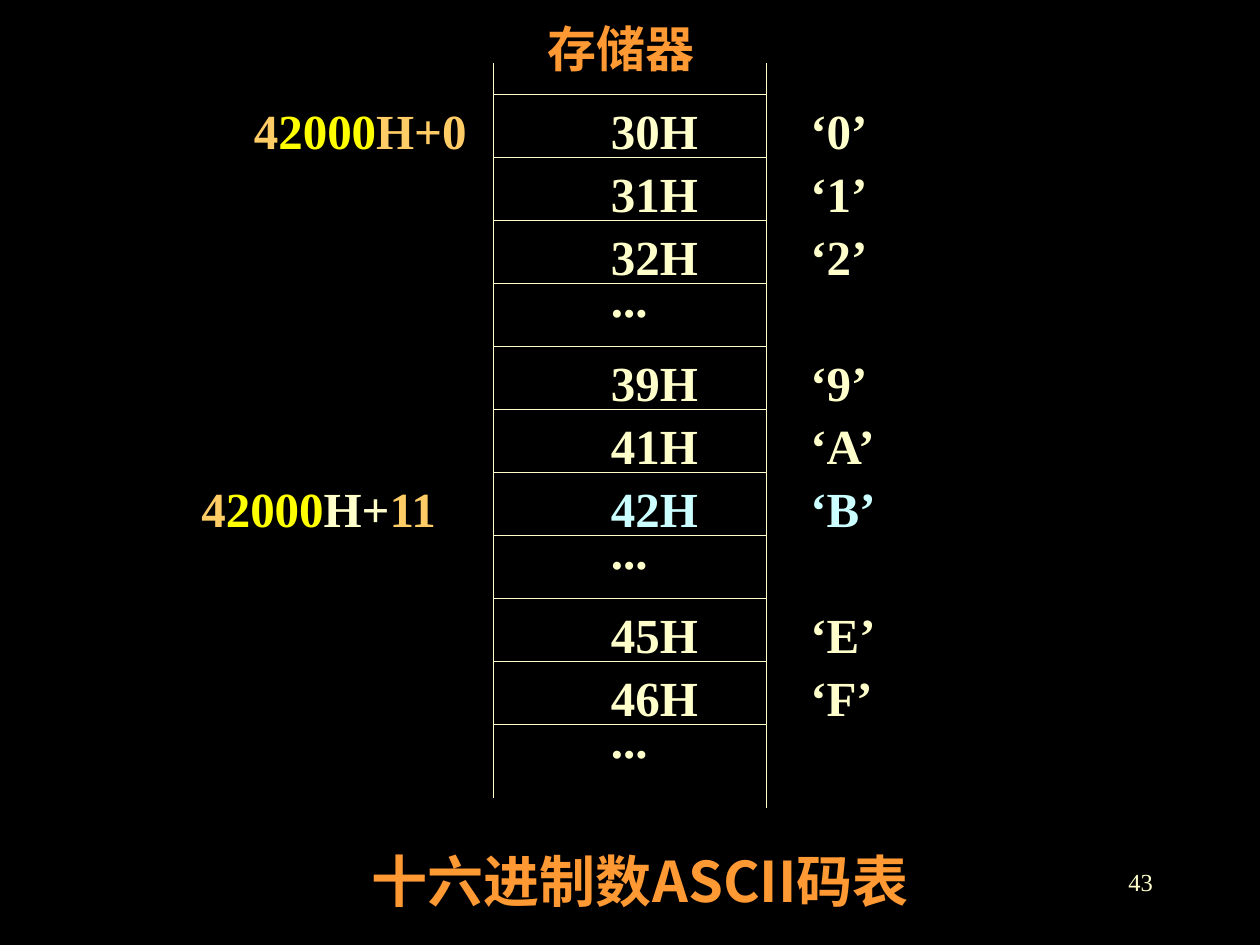
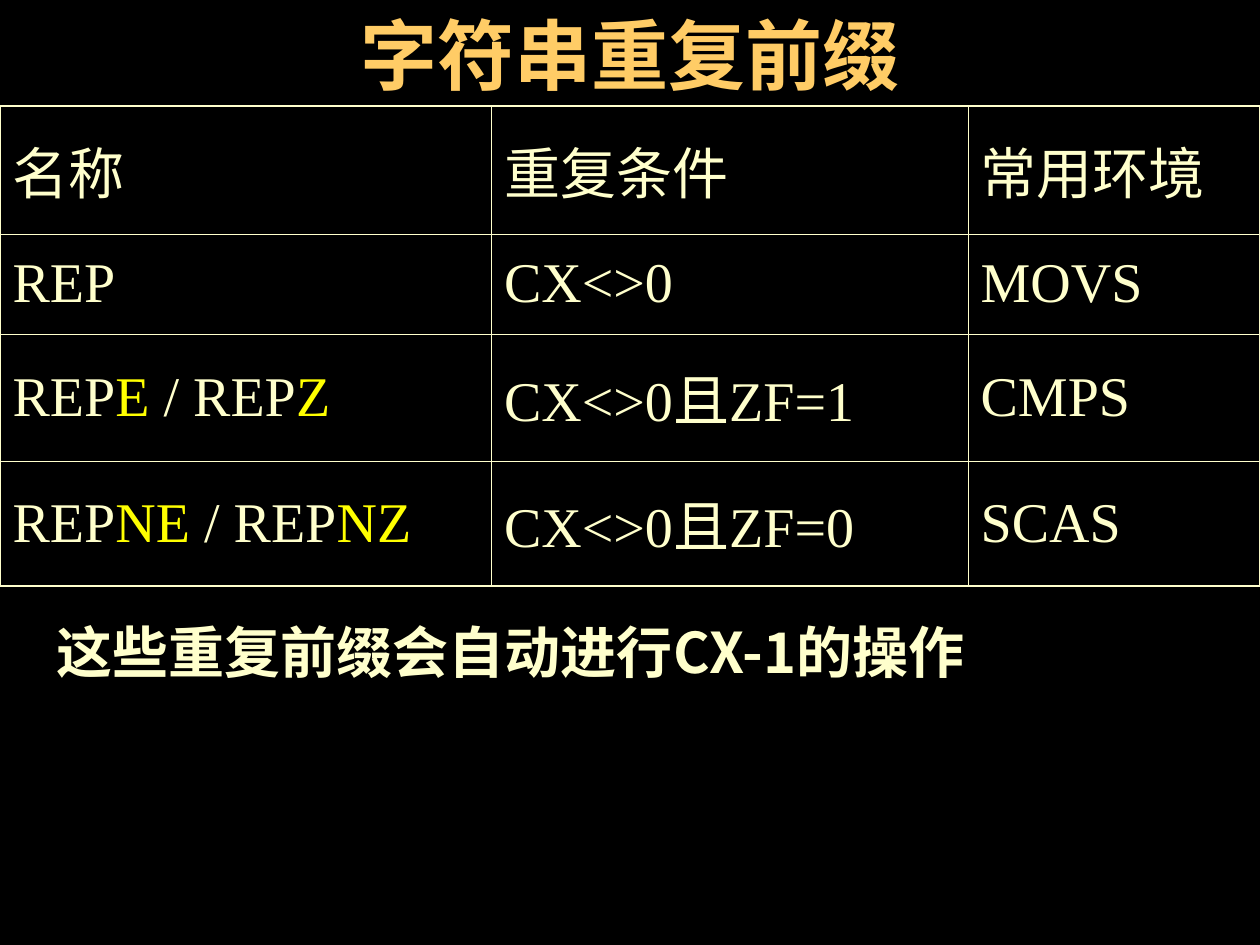
from lxml import etree
from pptx import Presentation
from pptx.dml.color import RGBColor
from pptx.enum.shapes import MSO_CONNECTOR, MSO_SHAPE
from pptx.enum.text import MSO_ANCHOR, MSO_AUTO_SIZE, PP_ALIGN
from pptx.oxml.ns import qn
from pptx.util import Emu, Pt

STRAIGHT = MSO_CONNECTOR.STRAIGHT
RECTANGLE = MSO_SHAPE.RECTANGLE
TOP, MIDDLE, BOTTOM = MSO_ANCHOR.TOP, MSO_ANCHOR.MIDDLE, MSO_ANCHOR.BOTTOM
GROW, FIXED = MSO_AUTO_SIZE.SHAPE_TO_FIT_TEXT, MSO_AUTO_SIZE.NONE
LEFT, CENTER, RIGHT = PP_ALIGN.LEFT, PP_ALIGN.CENTER, PP_ALIGN.RIGHT

BLACK = RGBColor(0x00, 0x00, 0x00)
CREAM = RGBColor(0xFF, 0xFF, 0xCC)
ICE = RGBColor(0xCC, 0xFF, 0xFF)
GOLD = RGBColor(0xFF, 0xCC, 0x66)
YELLOW = RGBColor(0xFF, 0xFF, 0x00)
ORANGE = RGBColor(0xFF, 0x99, 0x33)

SERIF = "Times New Roman"
SANS = "Noto Sans CJK SC"
EMU_PER_PX = 7620
WIDTH, HEIGHT = 1200, 900


def px(length):
    return Emu(length * EMU_PER_PX)


class Deck:
    def __init__(self):
        self.presentation = Presentation()
        self.presentation.slide_width = px(WIDTH)
        self.presentation.slide_height = px(HEIGHT)
        self.slide = None

    def new_slide(self):
        self.slide = self.presentation.slides.add_slide(self.presentation.slide_layouts[6])
        fill = self.slide.background.fill
        fill.solid()
        fill.fore_color.rgb = BLACK

    def add_runs(self, paragraph, runs, size, bold, font=SERIF):
        for text, color in runs:
            run = paragraph.add_run()
            run.text = text
            run.font.size = Pt(size)
            run.font.bold = bold
            run.font.color.rgb = color
            run.font.name = font
            east_asian = etree.SubElement(run.font._element, qn("a:ea"))
            east_asian.set("typeface", SANS)

    def text(self, left, top, width, height, runs, size=28, bold=True, font=SERIF,
             align=LEFT, anchor=TOP, fit=GROW):
        shape = self.slide.shapes.add_textbox(px(left), px(top), px(width), px(height))
        frame = shape.text_frame
        frame.word_wrap = True
        frame.auto_size = fit
        frame.vertical_anchor = anchor
        paragraph = frame.paragraphs[0]
        paragraph.alignment = align
        self.add_runs(paragraph, runs, size, bold, font)

    def box(self, left, top, width, height):
        shape = self.slide.shapes.add_shape(RECTANGLE, px(left), px(top), px(width), px(height))
        shape.shadow.inherit = False
        shape.fill.background()
        shape.line.color.rgb = CREAM
        shape.line.width = Pt(1)

    def line(self, x1, y1, x2, y2):
        connector = self.slide.shapes.add_connector(STRAIGHT, px(x1), px(y1), px(x2), px(y2))
        connector.line.color.rgb = CREAM
        connector.line.width = Pt(1)
        etree.SubElement(connector._element.spPr, qn("a:effectLst"))

    def border(self, cell, side, width):
        line = etree.SubElement(cell._tc.get_or_add_tcPr(), qn(f"a:ln{side}"), w=str(Pt(width)))
        fill = etree.SubElement(line, qn("a:solidFill"))
        etree.SubElement(fill, qn("a:srgbClr"), val=str(CREAM))

    def table(self, left, top, widths, heights, rows):
        frame = self.slide.shapes.add_table(len(heights), len(widths), px(left), px(top),
                                            px(sum(widths)), px(sum(heights)))
        table = frame.table
        table.first_row = table.horz_banding = False
        for column, width in zip(table.columns, widths):
            column.width = px(width)
        last_row, last_column = len(heights) - 1, len(widths) - 1
        for i, row in enumerate(rows):
            table.rows[i].height = px(heights[i])
            for j, runs in enumerate(row):
                cell = table.cell(i, j)
                cell.vertical_anchor = MIDDLE
                cell.margin_left = cell.margin_right = px(12)
                cell.margin_top = cell.margin_bottom = px(6)
                self.add_runs(cell.text_frame.paragraphs[0], runs, 32, False)
                outer = {"L": j == 0, "R": j == last_column, "T": i == 0, "B": i == last_row}
                for side, is_outer in outer.items():
                    self.border(cell, side, 1.08 if is_outer else 0.45)
                cell.fill.background()


def memory_slide(deck):
    left, right, first, step = 470, 730, 90, 60
    cells = [("30H", "0"), ("31H", "1"), ("32H", "2"), ("...", None),
             ("39H", "9"), ("41H", "A"), ("42H", "B"), ("...", None),
             ("45H", "E"), ("46H", "F"), ("...", None)]
    deck.new_slide()
    deck.text(860, 820, 250, 60, [("43", CREAM)], size=14, bold=False, align=RIGHT, fit=FIXED)
    for start, count in ((0, 4), (4, 4), (7, 3)):
        deck.box(left, first + start * step, right - left, count * step)
    for row in (1, 2, 3, 5, 6, 7, 9, 10):
        deck.line(left, first + row * step, right, first + row * step)
    for x, bottom in ((left, 760), (right, 770)):
        deck.line(x, first, x, 60)
        deck.line(x, 690, x, bottom)
    for row, (code, symbol) in enumerate(cells):
        top = first + row * step
        color = ICE if symbol == "B" else CREAM
        deck.text(570, top if symbol else top - 20, 220, 68, [(code, color)])
        if symbol:
            deck.text(760, top, 180, 68, [(f"‘{symbol}’", color)])
    base = [("4", GOLD), ("2000", YELLOW)]
    deck.text(230, first, 270, 68, base + [("H+0", GOLD)])
    deck.text(180, first + 6 * step, 290, 68, base + [("H+", CREAM), ("11", GOLD)])
    deck.text(240, 800, 740, 77, [("十六进制数ASCII码表", ORANGE)], size=32, font=SANS, align=CENTER)
    deck.text(510, 12, 240, 68, [("存储器", ORANGE)])


def prefix_slide(deck):
    def plain(*texts):
        return [[(text, CREAM)] for text in texts]

    def prefix_pair(first, second):
        return [("REP", CREAM), (first + " ", YELLOW), ("/ REP", CREAM), (second, YELLOW)]

    deck.new_slide()
    deck.text(90, 0, 1020, 101, [("字符串重复前缀", GOLD)], size=44,
              align=CENTER, anchor=BOTTOM, fit=FIXED)
    deck.table(0, 101, (468, 454, 278), (122, 95, 121, 119), [
        plain("名称", "重复条件", "常用环境"),
        plain("REP", "CX<>0", "MOVS"),
        [prefix_pair("E", "Z")] + plain("CX<>0且ZF=1", "CMPS"),
        [prefix_pair("NE", "NZ")] + plain("CX<>0且ZF=0", "SCAS"),
    ])
    deck.text(42, 582, 1158, 76, [("这些重复前缀会自动进行CX-1的操作", CREAM)], size=32, font=SANS)


def main():
    deck = Deck()
    memory_slide(deck)
    prefix_slide(deck)
    deck.presentation.save("out.pptx")


if __name__ == "__main__":
    main()
